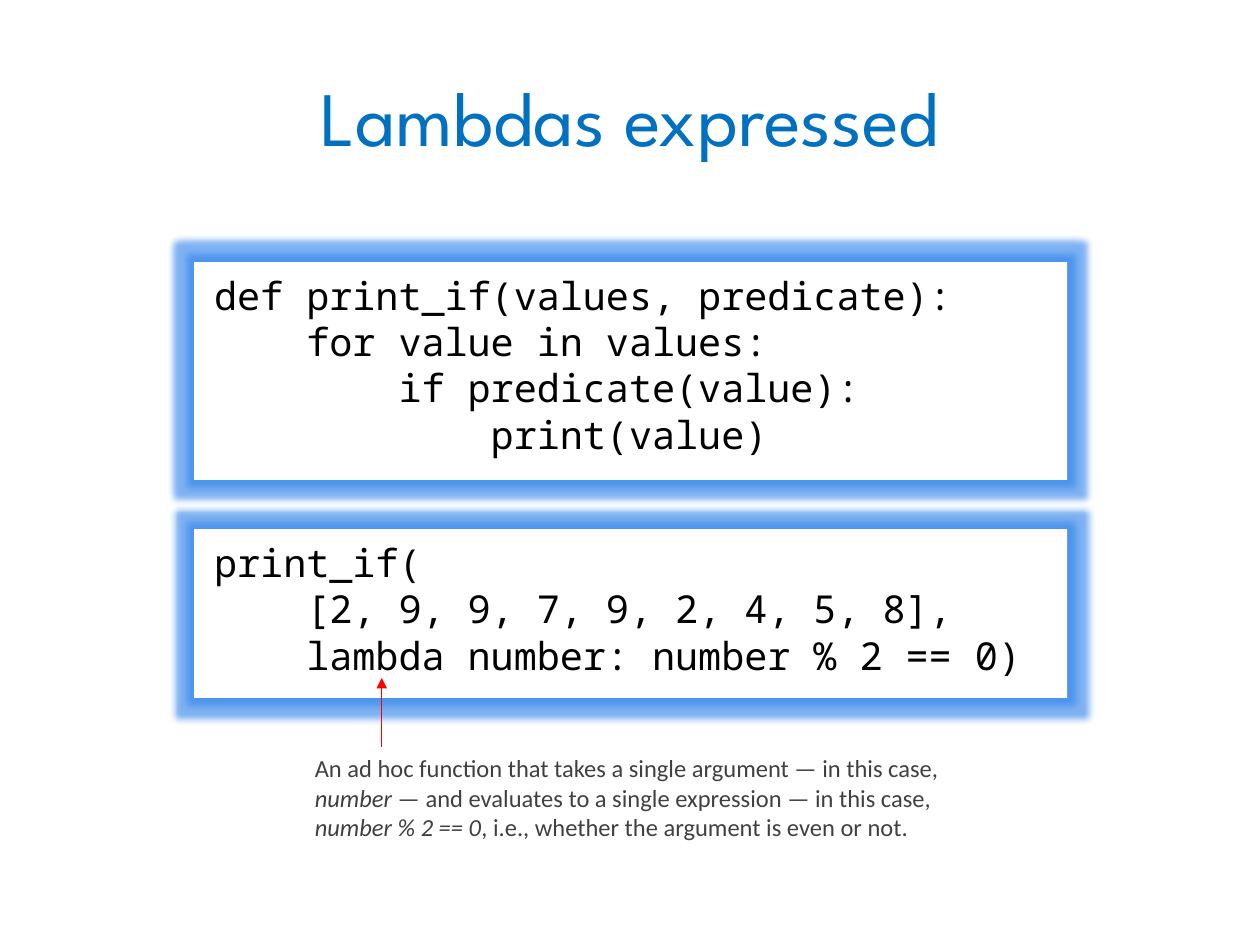
import pptx
import pptx.util
import pptx.dml.color
import pptx.enum.shapes
import pptx.enum.text
import pptx.oxml
from dataclasses import dataclass
from pptx.util import Inches

NS = 'xmlns:a="http://schemas.openxmlformats.org/drawingml/2006/main"'


@dataclass(frozen=True)
class Theme:
    title: tuple = ("League Spartan", 44, "0070C0")
    code: tuple = ("Noto Sans Mono", 22, "000000")
    note: tuple = ("Calibri", 14, "404040")
    paper: str = "FFFFFF"
    glow: str = "2A80EA"
    arrow: str = "FF0000"


THEME = Theme()

DEFINE = """def print_if(values, predicate):
    for value in values:
        if predicate(value):
            print(value)"""

CALL = """print_if(
    [2, 9, 9, 7, 9, 2, 4, 5, 8],
    lambda number: number % 2 == 0)"""

NOTE = [
    ("An ad hoc function that takes a single argument — in this case, ", False),
    ("number", True),
    (" — and evaluates to a single expression — in this case, ", False),
    ("number % 2 == 0", True),
    (", i.e., whether the argument is even or not.", False),
]


def color(code):
    return pptx.dml.color.RGBColor.from_string(code)


def style(font, look):
    name, size, ink = look
    for key, value in {"name": name, "size": pptx.util.Pt(size)}.items():
        setattr(font, key, value)
    font.color.rgb = color(ink)


def setup(frame, **values):
    for key, value in {"word_wrap": True, **values}.items():
        setattr(frame, key, value)


def add_text(slide, box, runs, look, align, **values):
    """Add one paragraph made of (text, italic) runs."""
    frame = slide.shapes.add_textbox(*map(Inches, box)).text_frame
    setup(frame, **values)
    para = frame.paragraphs[0]
    para.alignment = align
    for text, slant in runs:
        run = para.add_run()
        run.text = text
        style(run.font, look)
        run.font.italic = slant


def add_code(slide, top, height, code):
    """Add a white panel with a soft blue glow and one paragraph per line."""
    kind = pptx.enum.shapes.MSO_SHAPE.RECTANGLE
    panel = slide.shapes.add_shape(
        kind, *map(Inches, (1.54, top, 6.93, height)))
    panel.fill.solid()
    panel.fill.fore_color.rgb = color(THEME.paper)
    panel.line.fill.background()
    panel._element.spPr.append(pptx.oxml.parse_xml(
        f'<a:effectLst {NS}><a:glow rad="101600"><a:srgbClr val="{THEME.glow}">'
        '<a:alpha val="60000"/></a:srgbClr></a:glow></a:effectLst>'))
    side, edge = Inches(0.16), Inches(0.08)
    frame = panel.text_frame
    setup(frame, margin_left=side, margin_right=side,
          margin_top=edge, margin_bottom=edge,
          vertical_anchor=pptx.enum.text.MSO_ANCHOR.TOP)
    frame.text = code
    for para in frame.paragraphs:
        para.alignment = pptx.enum.text.PP_ALIGN.LEFT
        for run in para.runs:
            style(run.font, THEME.code)


def add_arrow(slide, x, start, end):
    kind = pptx.enum.shapes.MSO_CONNECTOR.STRAIGHT
    arrow = slide.shapes.add_connector(
        kind, *map(Inches, (x, start, x, end)))
    arrow.line.color.rgb = color(THEME.arrow)
    arrow.line.width = pptx.util.Pt(0.75)
    arrow.line._get_or_add_ln().append(
        pptx.oxml.parse_xml(f'<a:tailEnd {NS} type="triangle"/>'))
    arrow._element.spPr.append(pptx.oxml.parse_xml(f'<a:effectLst {NS}/>'))


def main():
    deck = pptx.Presentation()
    deck.slide_width, deck.slide_height = Inches(10), Inches(7.5)
    slide = deck.slides.add_slide(deck.slide_layouts[6])
    align = pptx.enum.text.PP_ALIGN
    add_text(slide, (0.5, 0.29, 9, 1.25), [("Lambdas expressed", False)],
             THEME.title, align.CENTER,
             vertical_anchor=pptx.enum.text.MSO_ANCHOR.MIDDLE)
    add_code(slide, 2.08, 1.73, DEFINE)
    add_code(slide, 4.2, 1.34, CALL)
    add_text(slide, (2.4, 5.93, 5.2, 0.81), NOTE, THEME.note, align.LEFT,
             auto_size=pptx.enum.text.MSO_AUTO_SIZE.SHAPE_TO_FIT_TEXT)
    add_arrow(slide, 3.03, 5.93, 5.38)
    deck.save("out.pptx")


if __name__ == "__main__":
    main()
